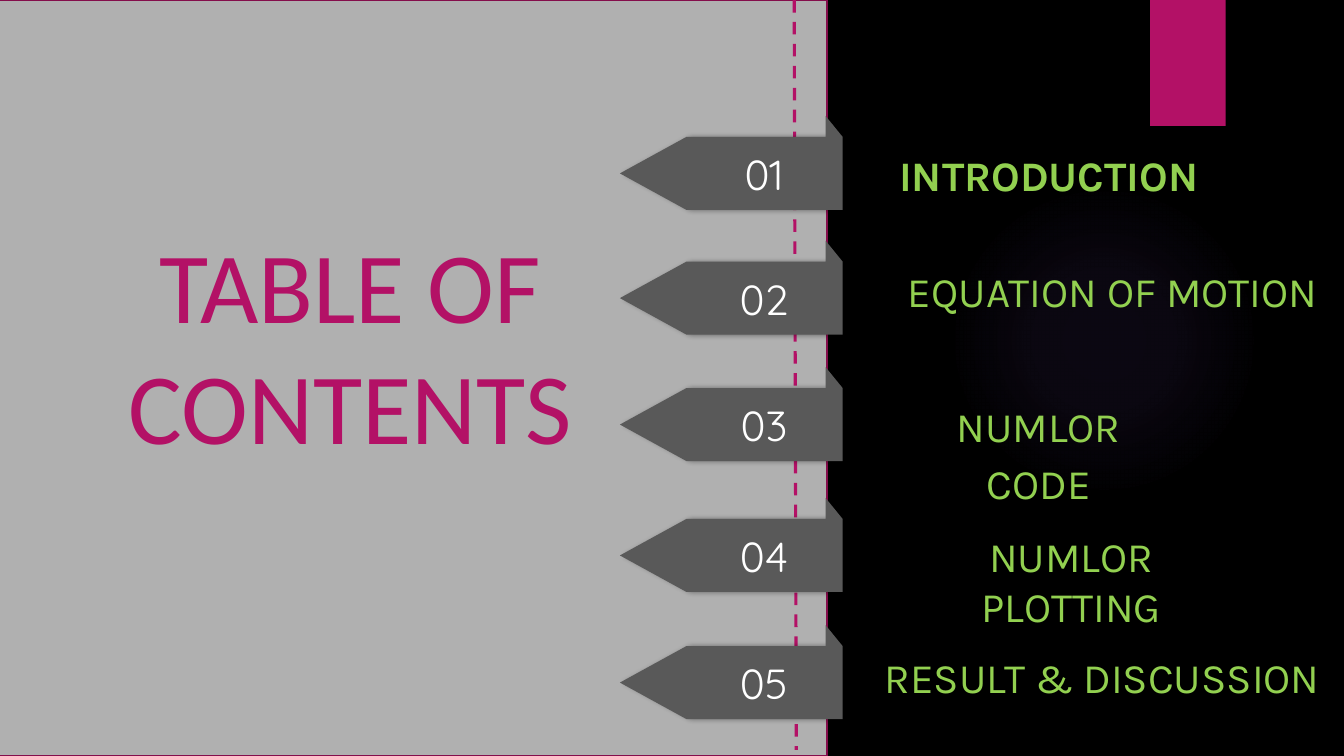
from dataclasses import dataclass

from pptx import Presentation
from pptx.dml.color import RGBColor
from pptx.enum.dml import MSO_LINE
from pptx.enum.shapes import MSO_CONNECTOR, MSO_SHAPE
from pptx.enum.text import PP_ALIGN
from pptx.oxml import parse_xml
from pptx.oxml.ns import nsdecls, qn
from pptx.util import Pt


@dataclass(frozen=True)
class Theme:
    background: str = "000000"
    panel: str = "B0B0B0"
    panel_edge: str = "840D4B"
    accent: str = "B31166"
    tab: str = "595959"
    label: str = "92D050"
    number: str = "FFFFFF"
    glow: str = "9B6BF2"
    title_font: str = "Calibri"
    label_font: str = "Karla"
    number_font: str = "Quicksand"
    title_size: int = 72
    item_size: int = 30
    wide_space_size: int = 54


THEME = Theme()
TAB_LEFT, TAB_WIDTH, TAB_HEIGHT = 442.8, 159.1, 67.1
LABEL_HEIGHT = 44

CONTENTS = [
    (82.8, (608.4, 103, 281.5), ["INTRODUCTION"], True),
    (171.9, (624.2, 185.8, 341.3), ["EQUATION OF MOTION"], False),
    (262.2, (635, 258.5, 213.8), ["NUMLOR", " ", "CODE"], False),
    (355.7, (635, 375.1, 260.6), ["NUMLOR PLOTTING"], False),
    (446.5, (608.4, 462.2, 357.8), ["RESULT & DISCUSSION"], False),
]


def color(value):
    return RGBColor.from_string(value)


def set_shadow(shape, opacity, blur, distance, angle):
    shape.shadow.inherit = False
    effects = shape._element.spPr.find(qn("a:effectLst"))
    effects.append(parse_xml(
        f'<a:outerShdw {nsdecls("a")} blurRad="{Pt(blur)}" dist="{Pt(distance)}" '
        f'dir="{angle * 60000}" algn="ctr" rotWithShape="0"><a:srgbClr val="000000">'
        f'<a:alpha val="{opacity * 1000}"/></a:srgbClr></a:outerShdw>'))


def add_block(slide, box, fill, preset=MSO_SHAPE.RECTANGLE):
    shape = slide.shapes.add_shape(preset, *map(Pt, box))
    shape.shadow.inherit = False
    shape.fill.solid()
    shape.fill.fore_color.rgb = color(fill)
    shape.line.fill.background()
    return shape


def add_text(slide, box, pieces, font_name, size, font_color, bold=False):
    frame = slide.shapes.add_textbox(*map(Pt, box)).text_frame
    frame.word_wrap = True
    paragraph = frame.paragraphs[0]
    paragraph.alignment = PP_ALIGN.CENTER
    paragraph.font.name = font_name
    paragraph.font.size = Pt(size)
    paragraph.font.color.rgb = color(font_color)
    paragraph.font.bold = bold
    for piece in pieces:
        run = paragraph.add_run()
        run.text = piece
        if piece == " ":
            run.font.size = Pt(THEME.wide_space_size)


def add_glow(slide, box):
    glow = add_block(slide, box, THEME.glow, MSO_SHAPE.OVAL)
    stops = "".join(
        f'<a:gs pos="{position * 1000}"><a:srgbClr val="{THEME.glow}">'
        f'<a:alpha val="{opacity * 1000}"/></a:srgbClr></a:gs>'
        for position, opacity in [(0, 7), (36, 6), (69, 0)])
    gradient = parse_xml(
        f'<a:gradFill {nsdecls("a")}><a:gsLst>{stops}</a:gsLst><a:path path="circle">'
        '<a:fillToRect l="50000" t="50000" r="50000" b="50000"/></a:path></a:gradFill>')
    properties = glow._element.spPr
    properties.replace(properties.find(qn("a:solidFill")), gradient)


def add_backdrop(slide, box):
    left, top, width, height = box
    slide.background.fill.solid()
    slide.background.fill.fore_color.rgb = color(THEME.background)
    add_glow(slide, (left + 677.5, top + 131.8, 221.8, 221.8))
    ribbon = add_block(slide, (left + 821.5, top, 54, 90), THEME.accent)
    set_shadow(ribbon, 45, 3, 2, 90)


def add_title_panel(slide, box):
    left, top, width, height = box
    panel = add_block(slide, box, THEME.panel)
    panel.line.color.rgb = color(THEME.panel_edge)
    panel.line.width = Pt(1.5)
    set_shadow(panel, 40, 4, 8, 45)
    add_text(slide, (left - 31.7, top + 155.5, 568, 181.4), ["TABLE OF CONTENTS"],
             THEME.title_font, THEME.title_size, THEME.accent)
    seam = slide.shapes.add_connector(
        MSO_CONNECTOR.STRAIGHT, Pt(left + 569.5), Pt(top),
        Pt(left + 571), Pt(top + height - 4.3))
    seam.line.color.rgb = color(THEME.accent)
    seam.line.width = Pt(2.25)
    seam.line.dash_style = MSO_LINE.DASH
    seam._element.spPr.append(parse_xml(f'<a:effectLst {nsdecls("a")}/>'))


def add_tab(slide, box, number):
    left, top, width, height = box
    right, bottom = left + width, top + height
    shoulder, fold_left, body_top = left + 47.5, right - 12.2, top + 15

    def points(*pairs):
        return [(Pt(x), Pt(y)) for x, y in pairs]

    outline = slide.shapes.build_freeform(Pt(shoulder), Pt(body_top))
    outline.add_line_segments(points(
        (right, body_top), (right, bottom), (shoulder, bottom),
        (left, (body_top + bottom) / 2)))
    outline.move_to(Pt(fold_left), Pt(top))
    outline.add_line_segments(points((right, body_top), (fold_left, body_top)))
    tab = outline.convert_to_shape()
    tab.fill.solid()
    tab.fill.fore_color.rgb = color(THEME.tab)
    tab.line.fill.background()
    set_shadow(tab, 40, 4, 3, 0)
    add_text(slide, (left + 65.5, top + 19.6, 74.9, 44), [f"{number:02d}"],
             THEME.number_font, THEME.item_size, THEME.number)


def add_contents(slide):
    for number, (tab_top, label_place, pieces, bold) in enumerate(CONTENTS, 1):
        add_tab(slide, (TAB_LEFT, tab_top, TAB_WIDTH, TAB_HEIGHT), number)
        add_text(slide, (*label_place, LABEL_HEIGHT), pieces,
                 THEME.label_font, THEME.item_size, THEME.label, bold)


def main():
    presentation = Presentation()
    presentation.slide_width, presentation.slide_height = Pt(960), Pt(540)
    slide = presentation.slides.add_slide(presentation.slide_layouts[6])
    add_backdrop(slide, (0, 0, 960, 540))
    add_title_panel(slide, (-2.2, 0, 593.3, 540))
    add_contents(slide)
    presentation.save("out.pptx")


if __name__ == "__main__":
    main()
